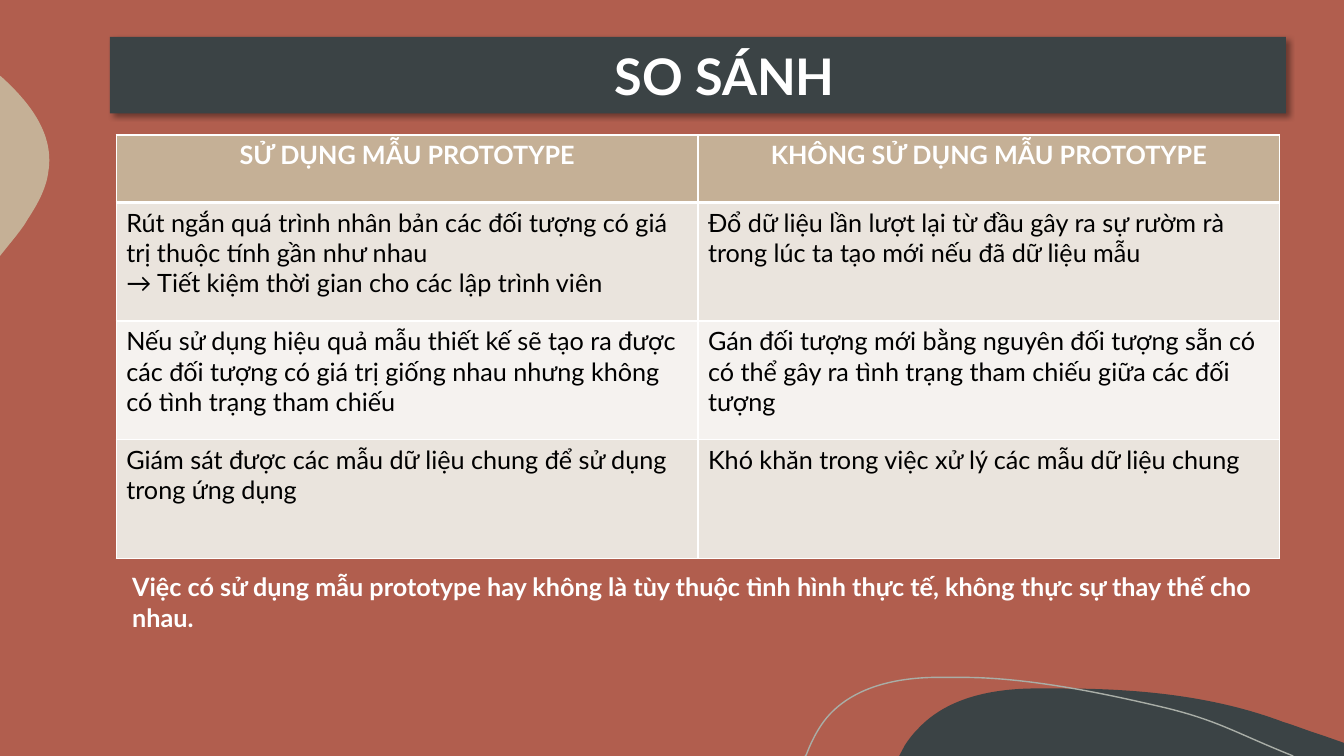
from dataclasses import dataclass
from typing import Optional

from lxml import etree
from pptx import Presentation
from pptx.dml.color import RGBColor
from pptx.enum.shapes import MSO_SHAPE
from pptx.enum.text import MSO_ANCHOR, PP_ALIGN
from pptx.oxml.ns import qn
from pptx.util import Cm, Pt

RECT = MSO_SHAPE.RECTANGLE
MIDDLE = MSO_ANCHOR.MIDDLE
LEFT, CENTER = PP_ALIGN.LEFT, PP_ALIGN.CENTER

RUST = RGBColor(0xB1, 0x5E, 0x4E)
SLATE = RGBColor(0x3B, 0x43, 0x45)
SAND = RGBColor(0xC5, 0xB0, 0x96)
SAGE = RGBColor(0xA9, 0xAE, 0xA7)
CREAM = RGBColor(0xEA, 0xE4, 0xDD)
PALE = RGBColor(0xF5, 0xF2, 0xEF)
WHITE = RGBColor(0xFF, 0xFF, 0xFF)
BLACK = RGBColor(0x00, 0x00, 0x00)

FONT = "Lato"


@dataclass
class Blob:
    """Outline in cm: a step of two numbers is a line, of six a curve."""
    start: tuple[float, float]
    steps: list[tuple[float, ...]]
    fill: Optional[RGBColor] = None
    line: Optional[RGBColor] = None


@dataclass
class Row:
    height: float
    cells: tuple[str, str]
    fill: RGBColor
    head: bool = False


BLOBS = [
    Blob((26.77, 17.35), [
        (28.65, 17.35, 30.58, 17.53, 32.33, 18.19),
        (32.66, 18.29, 32.97, 18.42, 33.3, 18.52),
        (33.87, 18.72), (33.87, 19.05), (22.66, 19.05), (22.81, 18.77),
        (22.91, 18.62, 23.01, 18.49, 23.14, 18.36),
        (23.85, 17.6, 24.94, 17.37, 25.98, 17.35),
        (26.24, 17.35, 26.51, 17.35, 26.77, 17.35),
    ], fill=SLATE),
    Blob((0, 1.91), [
        (0.03, 1.93),
        (0.76, 2.59, 1.37, 3.38, 1.22, 4.32),
        (1.17, 4.75, 0.94, 5.16, 0.69, 5.54),
        (0.61, 5.69, 0.43, 5.92, 0.2, 6.2),
        (0, 6.45),
    ], fill=SAND),
    Blob((20.29, 19.05), [
        (20.32, 19.02),
        (20.47, 18.62, 20.68, 18.24, 20.93, 17.98),
        (21.59, 17.3, 22.58, 17.09, 23.52, 17.07),
        (24.26, 17.07),
        (25.96, 17.07, 27.94, 17.5, 29.34, 17.83),
        (30.71, 18.16, 31.14, 18.47, 32.59, 19.05),
    ], line=SAGE),
]

ROWS = [
    Row(1.7, ("SỬ DỤNG MẪU PROTOTYPE", "KHÔNG SỬ DỤNG MẪU PROTOTYPE"),
        SAND, head=True),
    Row(2.99, ("Rút ngắn quá trình nhân bản các đối tượng có giá trị thuộc "
               "tính gần như nhau\n→ Tiết kiệm thời gian cho các lập trình viên",
               "Đổ dữ liệu lần lượt lại từ đầu gây ra sự rườm rà trong lúc ta "
               "tạo mới nếu đã dữ liệu mẫu"), CREAM),
    Row(2.99, ("Nếu sử dụng hiệu quả mẫu thiết kế sẽ tạo ra được các đối tượng "
               "có giá trị giống nhau nhưng không có tình trạng tham chiếu",
               "Gán đối tượng mới bằng nguyên đối tượng sẵn có có thể gây ra "
               "tình trạng tham chiếu giữa các đối tượng"), PALE),
    Row(2.99, ("Giám sát được các mẫu dữ liệu chung để sử dụng trong ứng dụng",
               "Khó khăn trong việc xử lý các mẫu dữ liệu chung"), CREAM),
]


def bend(shape, steps: list[tuple[float, ...]]) -> None:
    """Turn the lines that stand for six-number steps into curves."""
    lines = list(shape._element.iter(qn("a:lnTo")))
    for line, step in zip(lines, steps):
        if len(step) == 2:
            continue
        curve = etree.Element(qn("a:cubicBezTo"))
        for x, y in zip(step[::2], step[1::2]):
            etree.SubElement(curve, qn("a:pt"), x=str(Cm(x) - shape.left),
                             y=str(Cm(y) - shape.top))
        line.getparent().replace(line, curve)


def draw_blob(slide, blob: Blob) -> None:
    x, y = blob.start
    pen = slide.shapes.build_freeform(Cm(x), Cm(y))
    ends = [(Cm(step[-2]), Cm(step[-1])) for step in blob.steps]
    pen.add_line_segments(ends, close=blob.fill is not None)
    shape = pen.convert_to_shape()
    bend(shape, blob.steps)
    shape.shadow.inherit = False
    if blob.fill is not None:
        shape.fill.solid()
        shape.fill.fore_color.rgb = blob.fill
    else:
        shape.fill.background()
    if blob.line is not None:
        shape.line.color.rgb = blob.line
        shape.line.width = Pt(1)
    else:
        shape.line.fill.background()


def write(frame, text: str, size: int, color: RGBColor, bold: bool,
          align=LEFT) -> None:
    frame.word_wrap = True
    frame.text = text
    for para in frame.paragraphs:
        para.alignment = align
        font = para.font
        font.name, font.size, font.bold = FONT, Pt(size), bold
        font.color.rgb = color


def add_shadow(shape) -> None:
    shape.shadow.inherit = False
    effects = shape._element.spPr.find(qn("a:effectLst"))
    shade = etree.SubElement(effects, qn("a:outerShdw"), blurRad=str(Pt(4)),
                             dist=str(Pt(3)), dir="2700000", algn="tl",
                             rotWithShape="0")
    color = etree.SubElement(shade, qn("a:srgbClr"), val=str(BLACK))
    etree.SubElement(color, qn("a:alpha"), val="40000")


def add_border(cell, side: str, width: float) -> None:
    props = cell._tc.get_or_add_tcPr()
    line = etree.SubElement(props, qn(f"a:ln{side}"), w=str(Pt(width)))
    fill = etree.SubElement(line, qn("a:solidFill"))
    etree.SubElement(fill, qn("a:srgbClr"), val=str(WHITE))


def draw_banner(slide) -> None:
    bar = slide.shapes.add_shape(RECT, Cm(2.77), Cm(0.93), Cm(29.64), Cm(1.93))
    bar.fill.solid()
    bar.fill.fore_color.rgb = SLATE
    bar.line.fill.background()
    add_shadow(bar)
    frame = bar.text_frame
    frame.margin_left = Cm(1.6)
    frame.vertical_anchor = MIDDLE
    write(frame, "SO SÁNH", 36, WHITE, True, CENTER)


def draw_table(slide) -> None:
    high = sum(row.height for row in ROWS)
    table = slide.shapes.add_table(len(ROWS), 2, Cm(2.93), Cm(3.4),
                                   Cm(29.32), Cm(high)).table
    for i, row in enumerate(ROWS):
        table.rows[i].height = Cm(row.height)
        widths = {"L": 1, "R": 1, "T": 3 if i == 1 else 1,
                  "B": 3 if row.head else 1}
        for j, text in enumerate(row.cells):
            cell = table.cell(i, j)
            for side, width in widths.items():
                add_border(cell, side, width)
            cell.fill.solid()
            cell.fill.fore_color.rgb = row.fill
            write(cell.text_frame, text, 18, WHITE if row.head else BLACK,
                  row.head, CENTER if row.head else LEFT)


def draw_note(slide) -> None:
    box = slide.shapes.add_textbox(Cm(3.08), Cm(14.28), Cm(29.34), Cm(1.8))
    write(box.text_frame, "Việc có sử dụng mẫu prototype hay không là tùy thuộc "
          "tình hình thực tế, không thực sự thay thế cho nhau.", 18, WHITE, True)


def main() -> None:
    deck = Presentation()
    deck.slide_width, deck.slide_height = Cm(33.87), Cm(19.05)
    slide = deck.slides.add_slide(deck.slide_layouts[6])

    # Background and soft shapes
    slide.background.fill.solid()
    slide.background.fill.fore_color.rgb = RUST
    for blob in BLOBS:
        draw_blob(slide, blob)

    # Title, comparison and closing note
    draw_banner(slide)
    draw_table(slide)
    draw_note(slide)
    deck.save("out.pptx")


if __name__ == "__main__":
    main()
